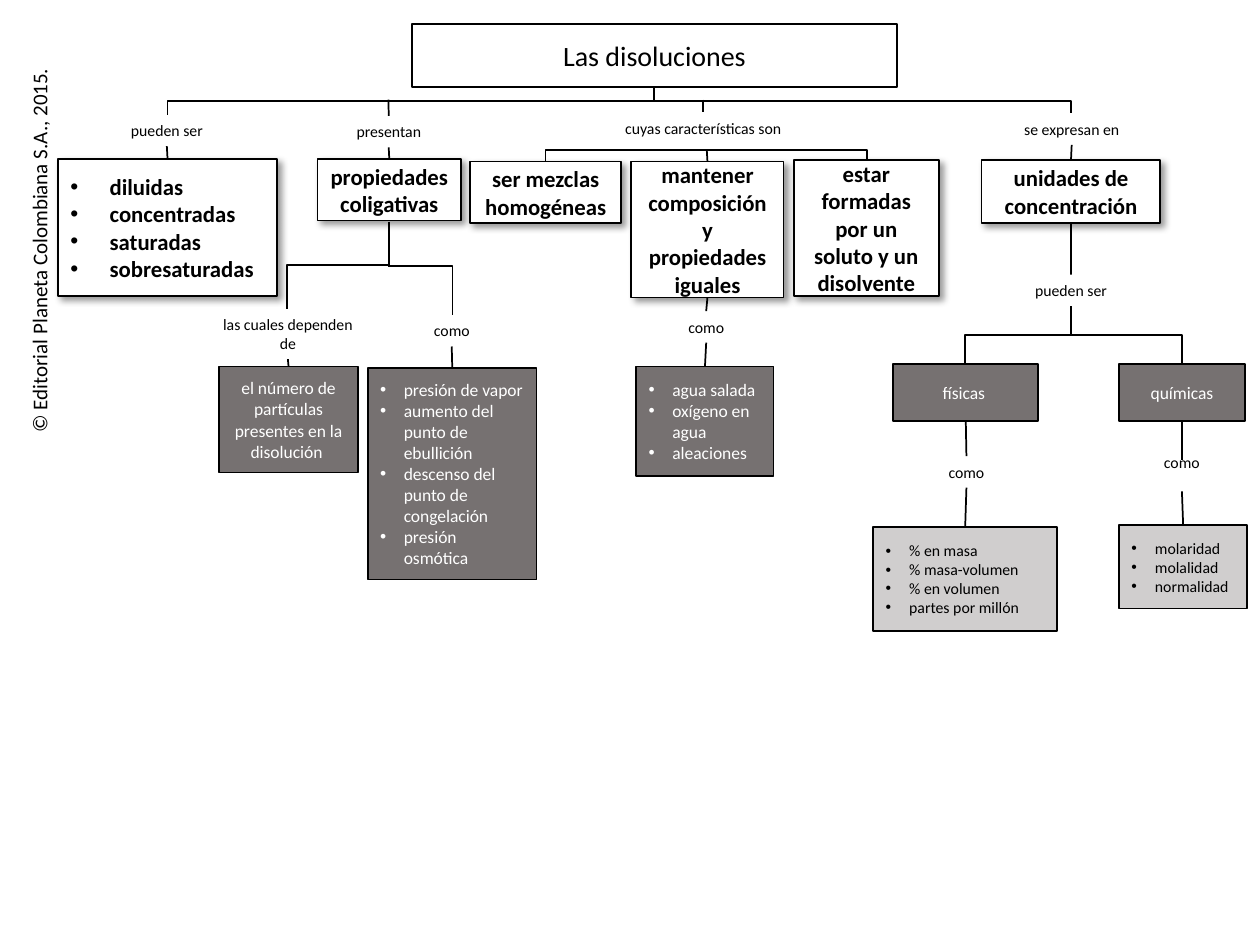
"""Build a concept map about solutions."""
from lxml import etree
from pptx import Presentation
from pptx import util as u
from pptx.dml.color import RGBColor
from pptx.enum import shapes, text
from pptx.oxml import ns

Pt = u.Pt
BLACK = RGBColor(0x00, 0x00, 0x00)
WHITE = RGBColor(0xFF, 0xFF, 0xFF)
DARK = RGBColor(0x76, 0x71, 0x71)
PALE = RGBColor(0xD0, 0xCE, 0xCE)
KIND = shapes.MSO_CONNECTOR

deck = Presentation()
deck.slide_width, deck.slide_height = Pt(720), Pt(540)
slide = deck.slides.add_slide(deck.slide_layouts[6])


def write(frame, words, size=9, color=BLACK, bold=False, indent=0, align=text.PP_ALIGN.CENTER):
    for i, line in enumerate(words.split("\n")):
        para = frame.paragraphs[0] if i == 0 else frame.add_paragraph()
        para.alignment = text.PP_ALIGN.LEFT if indent else align
        if indent:
            props = para._p.get_or_add_pPr()
            props.set("marL", str(Pt(indent)))
            props.set("indent", str(-Pt(indent)))
            etree.SubElement(props, ns.qn("a:buFont")).set("typeface", "Arial")
            etree.SubElement(props, ns.qn("a:buChar")).set("char", "•")
        run = para.add_run()
        run.text = line
        run.font.name = "Calibri"
        run.font.size = Pt(size)
        run.font.bold = bold
        run.font.color.rgb = color


def draw(kind, x1, y1, x2, y2):
    wire = slide.shapes.add_connector(kind, Pt(x1), Pt(y1), Pt(x2), Pt(y2))
    wire.line.color.rgb = BLACK
    wire.line.width = Pt(1)
    etree.SubElement(wire._element.spPr, ns.qn("a:effectLst"))
    return wire


credit = slide.shapes.add_textbox(Pt(-90), Pt(131), Pt(224.6), Pt(21.6))
credit.rotation = 270
credit.text_frame.word_wrap = False
write(credit.text_frame, "© Editorial Planeta Colombiana S.A., 2015.", size=12,
      align=text.PP_ALIGN.LEFT)

TITLE = dict(size=16)
CARD = dict(size=13, bold=True)
NODE = dict(size=10, color=WHITE)
LEAF = dict(size=9, indent=13.5)
boxes = [
    ("title", 235.4, 13.7, 277.2, 36, WHITE, TITLE, "Las disoluciones"),
    ("types", 33.1, 90.7, 125.3, 78.5, WHITE, CARD | dict(indent=22.5),
     "diluidas\nconcentradas\nsaturadas\nsobresaturadas"),
    ("traits", 181.4, 90.7, 82.1, 35.3, WHITE, CARD, "propiedades coligativas"),
    ("mixes", 268.6, 92.2, 86.4, 35.3, WHITE, CARD, "ser mezclas homogéneas"),
    ("equal", 360.7, 92.2, 87.1, 77.8, WHITE, CARD,
     "mantener composición y propiedades iguales"),
    ("parts", 453.6, 91.4, 82.8, 77.8, WHITE, CARD,
     "estar formadas por un soluto y un disolvente"),
    ("units", 560.9, 91.4, 102.2, 36, WHITE, CARD, "unidades de concentración"),
    ("count", 125.3, 209.5, 79.2, 60.5, DARK, NODE,
     "el número de partículas presentes en la disolución "),
    ("effects", 210.2, 210.2, 96.5, 121, DARK, NODE | dict(indent=13.5),
     "presión de vapor\naumento del punto de ebullición\n"
     "descenso del punto de congelación\npresión osmótica"),
    ("samples", 363.6, 209.5, 78.5, 62.6, DARK, NODE | dict(indent=13.5),
     "agua salada\noxígeno en agua\naleaciones"),
    ("physics", 510.5, 208.1, 82.8, 32.4, DARK, NODE, "físicas "),
    ("chemics", 639.4, 208.1, 72, 32.4, DARK, NODE, "químicas"),
    ("percents", 499, 301, 105.1, 59.8, PALE, LEAF,
     "% en masa\n% masa-volumen\n% en volumen\npartes por millón"),
    ("molars", 639.4, 300.2, 73.4, 47.5, PALE, LEAF, "molaridad\nmolalidad\nnormalidad"),
]
items = {}
for name, x, y, w, h, fill, style, words in boxes:
    box = slide.shapes.add_shape(shapes.MSO_SHAPE.RECTANGLE, Pt(x), Pt(y), Pt(w), Pt(h))
    box.shadow.inherit = False
    box.fill.solid()
    box.fill.fore_color.rgb = fill
    box.line.color.rgb = BLACK
    box.line.width = Pt(1)
    if style.get("bold"):
        glow = etree.SubElement(box._element.spPr.find(ns.qn("a:effectLst")),
                                ns.qn("a:outerShdw"), blurRad=str(Pt(4)), dist=str(Pt(3)),
                                dir="2700000", algn="tl", rotWithShape="0")
        tint = etree.SubElement(glow, ns.qn("a:srgbClr"), val="000000")
        etree.SubElement(tint, ns.qn("a:alpha"), val="40000")
    box.text_frame.word_wrap = True
    box.text_frame.vertical_anchor = text.MSO_ANCHOR.MIDDLE
    write(box.text_frame, words, **style)
    items[name] = box

labels = [
    ("may be", 62.6, 65.5, 65.5, 18, "pueden ser"),
    ("show", 189.4, 66.2, 65.5, 18, "presentan"),
    ("whose", 333.4, 64.1, 136.8, 18, "cuyas características son"),
    ("stated", 575.3, 64.8, 74.2, 18, "se expresan en"),
    ("depend", 116.6, 176.4, 95.8, 28.8, "las cuales dependen de"),
    ("as effects", 229, 180, 58.3, 18, "como"),
    ("as samples", 374.4, 177.8, 58.3, 18, "como"),
    ("units be", 571.7, 157, 80.6, 18, "pueden ser"),
    ("as percents", 511.2, 260.6, 82.1, 18, "como"),
    ("as molars", 620.6, 254.9, 109.4, 18, "como"),
]
for name, x, y, w, h, words in labels:
    label = slide.shapes.add_textbox(Pt(x), Pt(y), Pt(w), Pt(h))
    label.text_frame.word_wrap = True
    label.text_frame.auto_size = text.MSO_AUTO_SIZE.SHAPE_TO_FIT_TEXT
    write(label.text_frame, words)
    items[name] = label

links = [
    ("may be", "types"), ("show", "traits"), ("stated", "units"),
    ((222, 56.9), "show"), ((401.8, 56.9), "whose"), ((403.9, 85.7), "equal"),
    ("depend", "count"), ("as effects", "effects"),
    ("equal", "as samples"), ("as samples", "samples"),
    ("units", "units be"), ("physics", "as percents"), ("as percents", "percents"),
    ("chemics", (675.4, 262.8)), ((675.4, 280.8), "molars"),
]
for start, end in links:
    first = start if isinstance(start, tuple) else (0, 0)
    last = end if isinstance(end, tuple) else (0, 0)
    wire = draw(KIND.STRAIGHT, *first, *last)
    if start in items:
        wire.begin_connect(items[start], 2)
    if end in items:
        wire.end_connect(items[end], 0)

steps = [
    (373.7, 49.7, 95.8, 65.5),
    (222.5, 126.7, 164.2, 176.4),
    (612, 175, 675.4, 208.1),
]
for x1, y1, x2, y2 in steps:
    mid, cen = (x1 + x2) / 2, (y1 + y2) / 2
    half, span = (y2 - y1) / 2, abs(x2 - x1) / 2
    side = 1 if x2 < x1 else -1
    wire = draw(KIND.ELBOW, mid - side * half, cen - span, mid + side * half, cen + span)
    wire._element.spPr.find(ns.qn("a:xfrm")).set("rot", str(side * 90 % 360 * 60000))

bends = [
    (373.7, 57.6, 612, 64.8),
    (612.7, 191.5, 551.5, 208.1),
    (221.8, 151.9, 258.5, 180),
    (401.8, 85.7, 495.4, 91.4),
    (403.9, 85.7, 311.8, 92.2),
]
for ends in bends:
    wire = draw(KIND.ELBOW, *ends)
    wire._element.spPr.find(ns.qn("a:prstGeom")).set("prst", "bentConnector2")

deck.save("out.pptx")
